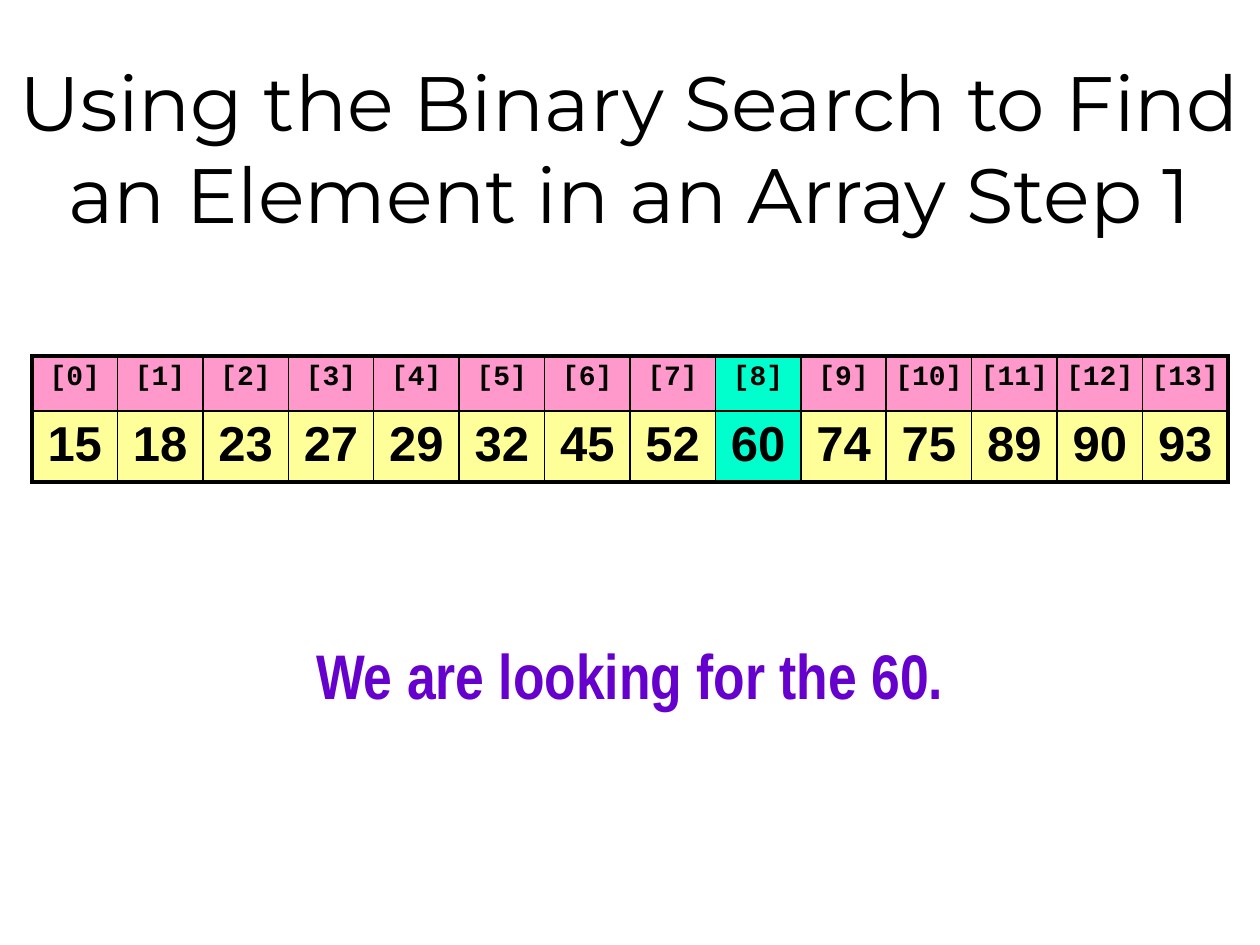
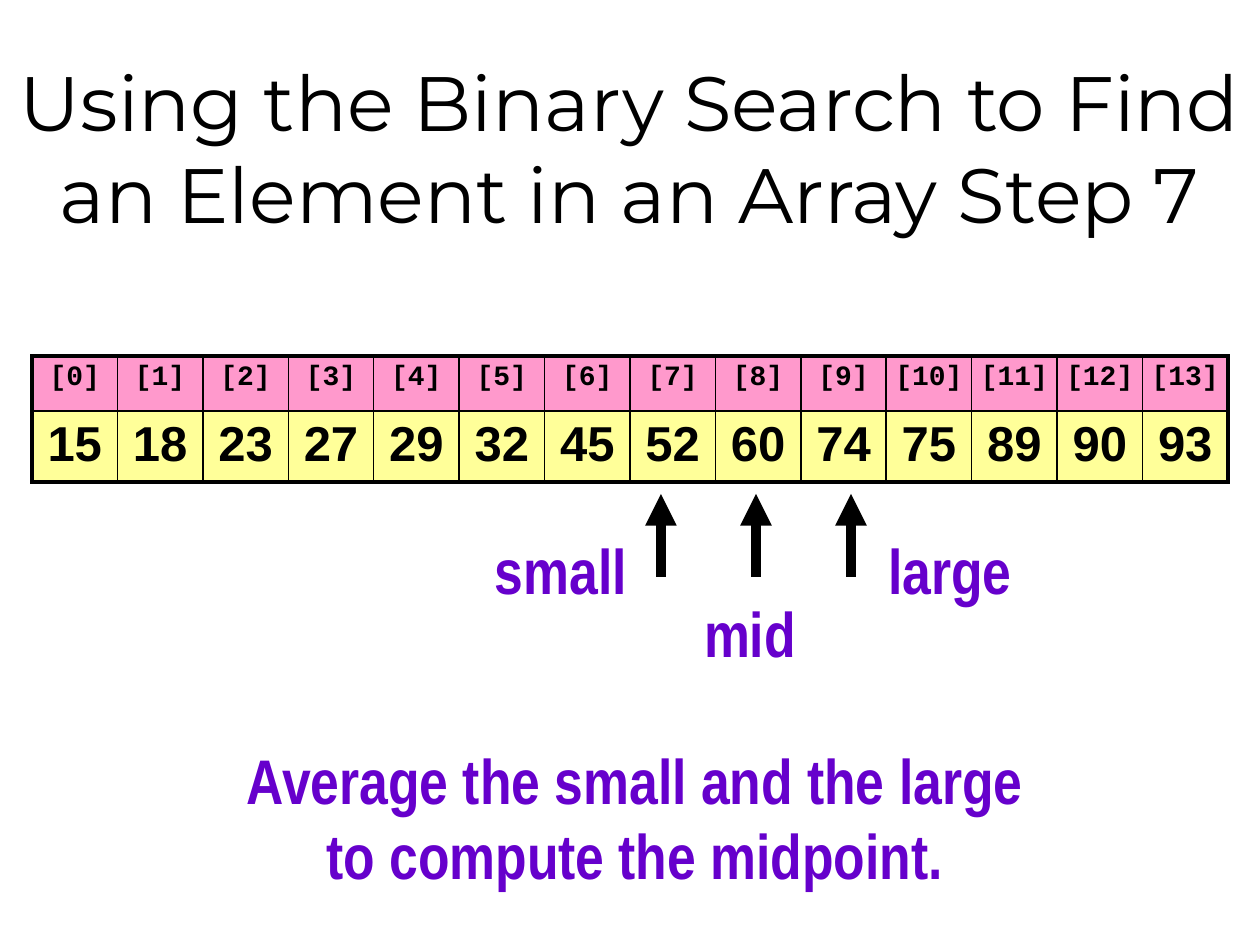
from lxml import etree
from pptx import Presentation
from pptx.dml.color import RGBColor
from pptx.enum.shapes import MSO_CONNECTOR
from pptx.enum.text import MSO_ANCHOR, PP_ALIGN
from pptx.oxml.ns import qn
from pptx.util import Emu, Pt

STRAIGHT = MSO_CONNECTOR.STRAIGHT
CENTER = PP_ALIGN.CENTER
TOP, MIDDLE = MSO_ANCHOR.TOP, MSO_ANCHOR.MIDDLE

SLIDE_WIDTH, SLIDE_HEIGHT = 1260, 945
BLACK = "000000"
PURPLE = "6600CC"
INDEX_PINK = "FF99CC"
VALUE_YELLOW = "FFFF99"
FOUND_TEAL = "00FFCC"
OUTER_BORDER, INNER_BORDER = 2.25, 1

VALUES = [15, 18, 23, 27, 29, 32, 45, 52, 60, 74, 75, 89, 90, 93]


def px(length):
    return Emu(round(length * 914400 / 126))


def color(hex_string):
    return RGBColor.from_string(hex_string)


class SearchDeck:
    def __init__(self):
        self.presentation = Presentation()
        self.presentation.slide_width = px(SLIDE_WIDTH)
        self.presentation.slide_height = px(SLIDE_HEIGHT)
        self.slide = None

    def start_step(self, step):
        """Add a slide with the title of the given search step."""
        self.slide = self.presentation.slides.add_slide(self.presentation.slide_layouts[6])
        title = f"Using the Binary Search to Find an Element in an Array Step {step}"
        self.text(0, 0, SLIDE_WIDTH, 293, [title], 44, "Montserrat", BLACK,
                  anchor=MIDDLE, side_margin=12, wrap=True)

    def style(self, paragraph, size, font_name, font_color, bold):
        paragraph.alignment = CENTER
        font = paragraph.font
        font.size, font.name, font.bold = Pt(size), font_name, bold
        font.color.rgb = color(font_color)

    def text(self, left, top, width, height, lines, size, font_name, font_color,
             bold=False, anchor=TOP, side_margin=0, wrap=False):
        box = self.slide.shapes.add_textbox(px(left), px(top), px(width), px(height))
        frame = box.text_frame
        frame.word_wrap = wrap
        frame.vertical_anchor = anchor
        frame.margin_left = frame.margin_right = px(side_margin)
        frame.text = "\n".join(lines)
        for paragraph in frame.paragraphs:
            self.style(paragraph, size, font_name, font_color, bold)

    def caption(self, left, top, width, height, *lines):
        self.text(left, top, width, height, lines, 36, "Arial Narrow", PURPLE, bold=True)

    def borders(self, cell, widths):
        """Draw black borders; widths maps L, R, T and B to points, in that order."""
        properties = cell._tc.get_or_add_tcPr()
        for side, width in widths.items():
            line = etree.SubElement(properties, qn(f"a:ln{side}"), w=str(Pt(width)))
            fill = etree.SubElement(line, qn("a:solidFill"))
            etree.SubElement(fill, qn("a:srgbClr"), val=BLACK)

    def array(self, found=None):
        """Draw the indexes above the values, with the found column highlighted."""
        left, top, heights = 32, 356, (55, 71)
        width = SLIDE_WIDTH - 2 * left
        last = len(VALUES) - 1
        rows = [
            ([f"[{index}]" for index in range(len(VALUES))], 16, "Courier New", INDEX_PINK),
            ([str(value) for value in VALUES], 28, "Arial", VALUE_YELLOW),
        ]
        table = self.slide.shapes.add_table(
            len(rows), len(VALUES), px(left), px(top), px(width), px(sum(heights))).table
        table.first_row = table.horz_banding = False
        for column in table.columns:
            column.width = px(width / len(VALUES))
        for row, (labels, size, font_name, row_fill) in enumerate(rows):
            table.rows[row].height = px(heights[row])
            for column, label in enumerate(labels):
                cell = table.cell(row, column)
                cell.margin_left = cell.margin_right = px(6)
                cell.margin_top = cell.margin_bottom = px(6)
                on_edge = {"L": column == 0, "R": column == last,
                           "T": row == 0, "B": row == len(rows) - 1}
                self.borders(cell, {side: OUTER_BORDER if outer else INNER_BORDER
                                    for side, outer in on_edge.items()})
                cell.fill.solid()
                cell.fill.fore_color.rgb = color(FOUND_TEAL if column == found else row_fill)
                cell.text = label
                self.style(cell.text_frame.paragraphs[0], size, font_name, BLACK, True)

    def up_arrow(self, x, bottom, top):
        arrow = self.slide.shapes.add_connector(STRAIGHT, px(x), px(bottom), px(x), px(top))
        arrow.line.color.rgb = color(BLACK)
        arrow.line.width = Pt(6)
        etree.SubElement(arrow.line._get_or_add_ln(), qn("a:tailEnd"), type="triangle")
        etree.SubElement(arrow._element.spPr, qn("a:effectLst"))


def main():
    deck = SearchDeck()

    deck.start_step(1)
    deck.array(found=VALUES.index(60))
    deck.caption(105, 630, 1050, 84, "We are looking for the 60.")

    deck.start_step(7)
    deck.array()
    for label, left, top in [("large", 882, 525), ("small", 493, 525), ("mid", 682, 588)]:
        deck.caption(left, top, 136, 104, label)
    for x in (661, 756, 851):
        deck.up_arrow(x, 577, 494)
    deck.caption(94, 735, 1082, 179,
                 "Average the small and the large", "to compute the midpoint.")

    deck.presentation.save("out.pptx")


if __name__ == "__main__":
    main()
